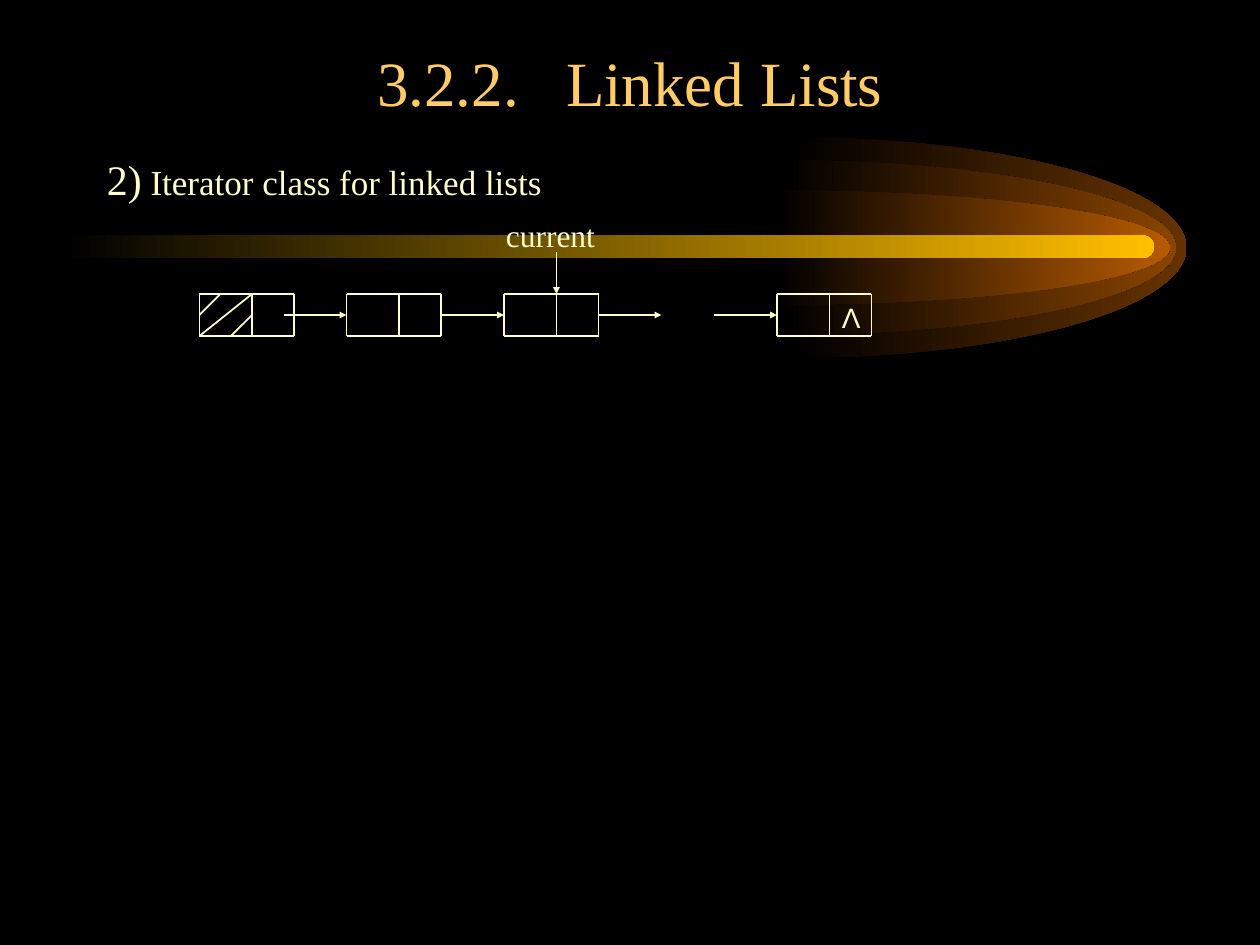
from typing import NamedTuple

from lxml.etree import SubElement
from pptx import Presentation
from pptx.dml.color import RGBColor
from pptx.enum.shapes import MSO_CONNECTOR as Connector, MSO_SHAPE as Preset
from pptx.enum.text import MSO_ANCHOR as Anchor, PP_ALIGN as Align
from pptx.oxml.ns import qn
from pptx.util import Pt

BLACK = RGBColor(0x00, 0x00, 0x00)
GOLD = RGBColor(0xFF, 0xCC, 0x66)
CREAM = RGBColor(0xFF, 0xFF, 0xCC)
BEAM = RGBColor(0xFF, 0xBF, 0x00)
SERIF, SANS = "Times New Roman", "Arial"

NODE_TOP, NODE_WIDTH, NODE_HEIGHT = 168, 54, 24
NODE_MIDDLE, NODE_BOTTOM = NODE_TOP + NODE_HEIGHT / 2, NODE_TOP + NODE_HEIGHT
DATA_WIDTH = 30
NODE_LEFTS = [114, 198, 288, 444]
ARROW_STARTS, ARROW_LENGTH = [162, 252, 342, 408], 36
COMET_MIDDLE, COMET_WIDTH = 141.5, 225
CURVE = 0.55  # control point distance for a quarter ellipse


class Glow(NamedTuple):
    left: float
    radius: float
    color: RGBColor


GLOWS = [
    Glow(453, 63, RGBColor(0x66, 0x33, 0x00)),
    Glow(447, 50, RGBColor(0x89, 0x44, 0x00)),
    Glow(443.5, 32.75, RGBColor(0xB7, 0x5B, 0x00)),
]


def fade(shape, color: RGBColor) -> None:
    """Fill a shape from black on the left to a colour on the right."""
    shape.shadow.inherit = False
    shape.line.fill.background()
    shape.fill.gradient()
    shape.fill.gradient_angle = 0
    for stop, stop_color, position in zip(shape.fill.gradient_stops, (BLACK, color), (0, 1)):
        stop.color.rgb = stop_color
        stop.position = position


def bend(segment, controls: list[tuple[float, float]]) -> None:
    """Turn a straight freeform segment into a cubic curve."""
    segment.tag = qn("a:cubicBezTo")
    for index, (x, y) in enumerate(controls):
        point = SubElement(segment, qn("a:pt"), x=str(Pt(x)), y=str(Pt(y)))
        segment.insert(index, point)


def draw_glow(slide, glow: Glow) -> None:
    left, radius, width = glow.left, glow.radius, COMET_WIDTH
    builder = slide.shapes.build_freeform(Pt(left), Pt(COMET_MIDDLE - radius))
    builder.add_line_segments([
        (Pt(left + width), Pt(COMET_MIDDLE)),
        (Pt(left), Pt(COMET_MIDDLE + radius)),
        (Pt(left), Pt(COMET_MIDDLE)),
    ], close=True)
    shape = builder.convert_to_shape()
    upper, lower = list(shape._element.iter(qn("a:lnTo")))[:2]
    near, far = 1 - CURVE, 1 + CURVE
    bend(upper, [(CURVE * width, 0), (width, near * radius)])
    bend(lower, [(width, far * radius), (CURVE * width, 2 * radius)])
    fade(shape, glow.color)


def draw_line(slide, x1: float, y1: float, x2: float, y2: float, arrow: bool = False) -> None:
    line = slide.shapes.add_connector(Connector.STRAIGHT, Pt(x1), Pt(y1), Pt(x2), Pt(y2))
    line.line.color.rgb = CREAM
    line.line.width = Pt(1)
    if arrow:
        SubElement(line.line._get_or_add_ln(), qn("a:tailEnd"),
                   type="triangle", w="sm", len="sm")
    SubElement(line._element.spPr, qn("a:effectLst"))


def draw_node(slide, left: float) -> None:
    right = left + NODE_WIDTH
    for y in (NODE_TOP, NODE_BOTTOM):
        draw_line(slide, left, y, right, y)
    for x in (left, left + DATA_WIDTH, right):
        draw_line(slide, x, NODE_TOP, x, NODE_BOTTOM)


def style_run(run, size: float, font: str = SERIF, color: RGBColor = CREAM) -> None:
    run.font.size = Pt(size)
    run.font.name = font
    run.font.color.rgb = color


def add_text(slide, left: float, top: float, width: float, height: float,
             runs: list[tuple[str, float]], font: str = SERIF) -> None:
    box = slide.shapes.add_textbox(Pt(left), Pt(top), Pt(width), Pt(height))
    box.text_frame.word_wrap = True
    paragraph = box.text_frame.paragraphs[0]
    for text, size in runs:
        run = paragraph.add_run()
        run.text = text
        style_run(run, size, font)


def main() -> None:
    presentation = Presentation()
    presentation.slide_width, presentation.slide_height = Pt(720), Pt(540)
    slide = presentation.slides.add_slide(presentation.slide_layouts[5])
    slide.background.fill.solid()
    slide.background.fill.fore_color.rgb = BLACK

    # Comet behind the content
    for glow in GLOWS:
        draw_glow(slide, glow)
    beam = slide.shapes.add_shape(
        Preset.ROUNDED_RECTANGLE, Pt(36), Pt(134.5), Pt(623.5), Pt(13))
    beam.adjustments[0] = 0.5
    fade(beam, BEAM)

    # Title and heading
    title = slide.shapes.title
    title.left, title.top, title.width, title.height = Pt(54), Pt(23.5), Pt(612), Pt(48)
    title.text_frame.text = "3.2.2.   Linked Lists"
    title.text_frame.vertical_anchor = Anchor.BOTTOM
    title.text_frame.paragraphs[0].alignment = Align.CENTER
    style_run(title.text_frame.paragraphs[0].runs[0], 36, color=GOLD)
    add_text(slide, 54, 84, 612, 402, [("2)", 24), (" Iterator class for linked lists", 20)])

    # List nodes and the arrows between them
    for left in NODE_LEFTS:
        draw_node(slide, left)
    for start in ARROW_STARTS:
        draw_line(slide, start, NODE_MIDDLE, start + ARROW_LENGTH, NODE_MIDDLE, arrow=True)

    # Current pointer
    current = NODE_LEFTS[2] + DATA_WIDTH
    add_text(slide, 282, 120, 90, 29, [("current", 18)])
    draw_line(slide, current, 144, current, NODE_TOP, arrow=True)

    # Hatching in the head node
    head, divider = NODE_LEFTS[0], NODE_LEFTS[0] + DATA_WIDTH
    draw_line(slide, head + 12, NODE_TOP, head, NODE_MIDDLE)
    draw_line(slide, divider, NODE_TOP, head, NODE_BOTTOM)
    draw_line(slide, divider, NODE_MIDDLE, divider - 12, NODE_BOTTOM)

    # Null mark in the last node
    add_text(slide, NODE_LEFTS[-1] + DATA_WIDTH, NODE_TOP, 30, 26.5, [("Λ", 16)], SANS)

    presentation.save("out.pptx")


if __name__ == "__main__":
    main()
